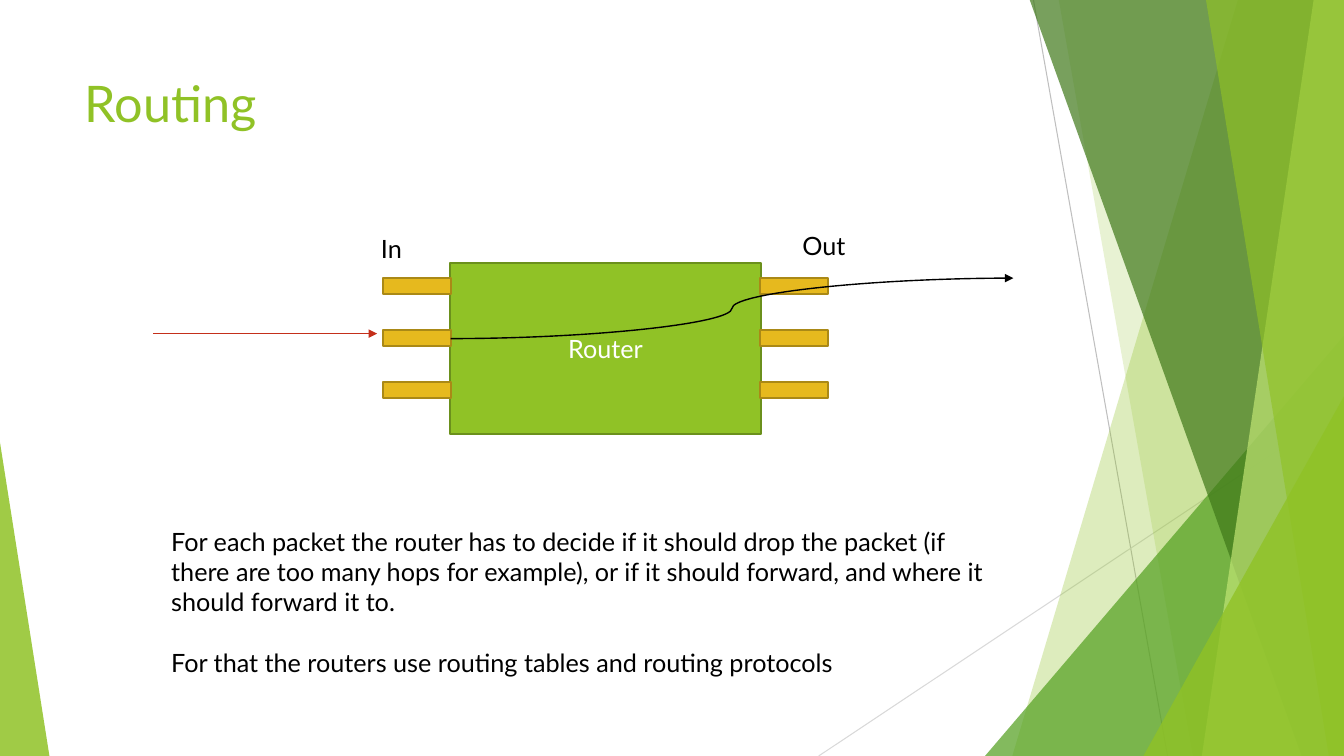
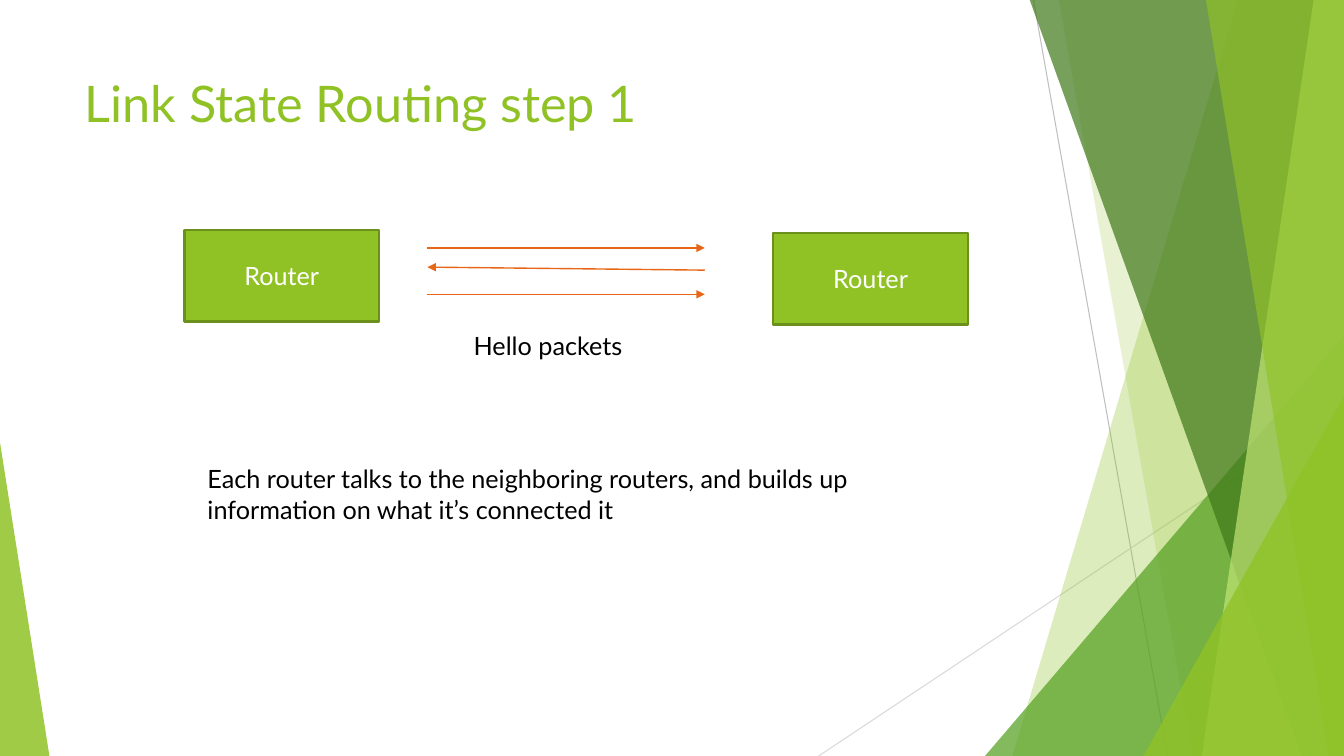
from lxml import etree
from pptx import Presentation
from pptx.dml.color import RGBColor
from pptx.enum.shapes import MSO_CONNECTOR, MSO_SHAPE
from pptx.enum.text import MSO_ANCHOR, PP_ALIGN
from pptx.oxml.ns import qn
from pptx.util import Inches, Pt

RECT, TRIANGLE = MSO_SHAPE.RECTANGLE, MSO_SHAPE.ISOSCELES_TRIANGLE
STRAIGHT, CURVE = MSO_CONNECTOR.STRAIGHT, MSO_CONNECTOR.CURVE
MIDDLE, CENTER = MSO_ANCHOR.MIDDLE, PP_ALIGN.CENTER

FONT = "Lato"
WIDTH, HEIGHT = 13.33, 7.5
BLEED = -0.01

BLACK = RGBColor(0x00, 0x00, 0x00)
WHITE = RGBColor(0xFF, 0xFF, 0xFF)
GREEN = RGBColor(0x90, 0xC2, 0x26)
GREEN_EDGE = RGBColor(0x6B, 0x90, 0x1C)
MID_GREEN = RGBColor(0x54, 0xA0, 0x21)
DARK_GREEN = RGBColor(0x3F, 0x78, 0x19)
PALE_GREEN = RGBColor(0xC0, 0xE4, 0x74)
GOLD = RGBColor(0xE6, 0xB9, 0x1E)
GOLD_EDGE = RGBColor(0xAA, 0x89, 0x16)
RED = RGBColor(0xC4, 0x2F, 0x1A)
ORANGE = RGBColor(0xE7, 0x66, 0x18)
GRAY = RGBColor(0xBF, 0xBF, 0xBF)
LIGHT_GRAY = RGBColor(0xD9, 0xD9, 0xD9)


def paint(shape, color, edge=None, opacity=100):
    """Fill a shape, with an optional outline and opacity in percent."""
    shape.shadow.inherit = False
    shape.fill.solid()
    shape.fill.fore_color.rgb = color
    if opacity < 100:
        clr = shape.fill._xPr.find(qn("a:solidFill"))[0]
        etree.SubElement(clr, qn("a:alpha"), val=str(opacity * 1000))
    if edge is None:
        shape.line.fill.background()
    else:
        shape.line.color.rgb = edge
        shape.line.width = Pt(1.5)


def write(shape, paragraphs, size=18, color=BLACK, gap=0):
    """Set the paragraphs of a shape, gap points apart, and style them."""
    tf = shape.text_frame
    tf.word_wrap = True
    tf.text = "\n".join(paragraphs)
    for i, p in enumerate(tf.paragraphs):
        if i:
            p.space_before = Pt(gap)
        for r in p.runs:
            r.font.name = FONT
            r.font.size = Pt(size)
            r.font.color.rgb = color
    return tf


def add_text(s, box, *paragraphs, **style):
    """Add a wrapping text box in box (left, top, width, height)."""
    write(s.shapes.add_textbox(*map(Inches, box)), paragraphs, **style)


def add_box(s, box, color, edge, label=None):
    """Add an outlined rectangle with an optional centred label."""
    shape = s.shapes.add_shape(RECT, *map(Inches, box))
    paint(shape, color, edge)
    if label:
        tf = write(shape, [label], color=WHITE)
        tf.vertical_anchor = MIDDLE
        tf.paragraphs[0].alignment = CENTER


def add_line(shapes, start, end, color, width=1, kind=STRAIGHT, arrow=True):
    """Join two points with a line, by default with an arrowhead at its end."""
    line = shapes.add_connector(kind, *map(Inches, start + end))
    line.line.color.rgb = color
    line.line.width = Pt(width)
    if arrow:
        etree.SubElement(line.line._get_or_add_ln(), qn("a:tailEnd"), type="triangle")
    etree.SubElement(line._element.spPr, qn("a:effectLst"))


def add_band(shapes, top_x, bottom_x, color, opacity):
    """Add a full-height band from a slanted left side to the right edge."""
    corners = [(top_x, BLEED), (WIDTH, BLEED), (WIDTH, HEIGHT), (bottom_x, HEIGHT)]
    points = [(Inches(x), Inches(y)) for x, y in corners]
    builder = shapes.build_freeform(*points[0])
    builder.add_line_segments(points[1:], close=True)
    paint(builder.convert_to_shape(), color, opacity=opacity)


def add_corner(shapes, left, top, width, apex, color, opacity):
    """Add a triangle on the bottom edge, its apex at 0 (left) or 1 (right)."""
    box = (left, top, width, HEIGHT - top)
    shape = shapes.add_shape(TRIANGLE, *map(Inches, box))
    shape.adjustments[0] = apex
    paint(shape, color, opacity=opacity)


def add_backdrop(s):
    """Draw the layered green facets and thin lines behind every slide."""
    shapes = s.shapes.add_group_shape().shapes
    add_line(shapes, (10.25, 0), (11.58, HEIGHT), GRAY, 0.75, arrow=False)
    add_line(shapes, (WIDTH, 4.03), (8.12, HEIGHT), LIGHT_GRAY, 0.75, arrow=False)
    add_band(shapes, 12.28, 10.04, GREEN, 30)
    add_band(shapes, 10.5, 11.83, GREEN, 20)
    add_corner(shapes, 9.77, 3.33, 3.56, 1, MID_GREEN, 72)
    add_band(shapes, 10.21, 12.91, DARK_GREEN, 70)
    add_band(shapes, 13.03, 11.92, PALE_GREEN, 70)
    add_band(shapes, 11.96, 13.18, GREEN, 65)
    add_corner(shapes, 11.34, 3.93, 1.99, 1, GREEN, 80)
    add_corner(shapes, 0, 4.39, 0.49, 0, GREEN, 85)


def new_slide(prs, title):
    """Start a blank slide with the shared backdrop and title."""
    s = prs.slides.add_slide(prs.slide_layouts[6])
    add_backdrop(s)
    add_text(s, (0.74, 0.67, 9.4, 1.44), title, size=36, color=GREEN)
    return s


def router_with_ports(s, box):
    """Draw a router with three ports a side and a packet passing through."""
    left, top, width, _ = box
    right = left + width
    port_w, port_h, pitch, overlap = 0.67, 0.16, 0.515, 0.01
    in_x, out_x = left + overlap - port_w, right - overlap
    add_box(s, box, GREEN, GREEN_EDGE, "Router")
    for x in (in_x, out_x):
        for i in range(3):
            port = (x, top + 0.15 + i * pitch, port_w, port_h)
            add_box(s, port, GOLD, GOLD_EDGE)
    add_text(s, (in_x - 0.12, top - 0.34, 0.92, 0.4), "In")
    add_text(s, (out_x + 0.32, top - 0.37, 0.91, 0.4), "Out")
    add_line(s.shapes, (in_x - 2.28, top + 0.7), (in_x - 0.06, top + 0.7), RED)
    add_line(s.shapes, (left + overlap, top + 0.75), (right + 2.5, top + 0.15),
             BLACK, kind=CURVE)


def hello_exchange(s, box):
    """Draw two routers at the sides of box and the hello packets between."""
    left, top, width, height = box
    router_w, router_h = 1.93, 0.91
    add_box(s, (left, top, router_w, router_h), GREEN, GREEN_EDGE, "Router")
    add_box(s, (left + width - router_w, top + height - router_h, router_w, router_h),
            GREEN, GREEN_EDGE, "Router")
    near, far = left + 2.41, left + 5.16
    for dy in (0.18, 0.64):
        add_line(s.shapes, (near, top + dy), (far, top + dy), ORANGE)
    add_line(s.shapes, (far, top + 0.4), (near, top + 0.37), ORANGE)
    add_text(s, (left + 2.77, top + 0.95, 2.03, 0.4), "Hello packets")


def routing_slide(prs):
    """Build the slide on what a router decides for each packet."""
    s = new_slide(prs, "Routing")
    router_with_ports(s, (4.46, 2.61, 3.09, 1.7))
    add_text(s, (1.6, 5.17, 8.25, 1.62),
             "For each packet the router has to decide if it should drop the packet "
             "(if there are too many hops for example), or if it should forward, "
             "and where it should forward it to.",
             "For that the routers use routing tables and routing protocols",
             gap=21.6)


def link_state_slide(prs):
    """Build the slide on the first step of link state routing."""
    s = new_slide(prs, "Link State Routing step 1")
    hello_exchange(s, (1.83, 2.28, 7.77, 0.94))
    add_text(s, (1.96, 4.55, 7.87, 0.71),
             "Each router talks to the neighboring routers, and builds up "
             "information on what it’s connected it")


prs = Presentation()
prs.slide_width, prs.slide_height = Inches(WIDTH), Inches(HEIGHT)
routing_slide(prs)
link_state_slide(prs)
prs.save("out.pptx")
